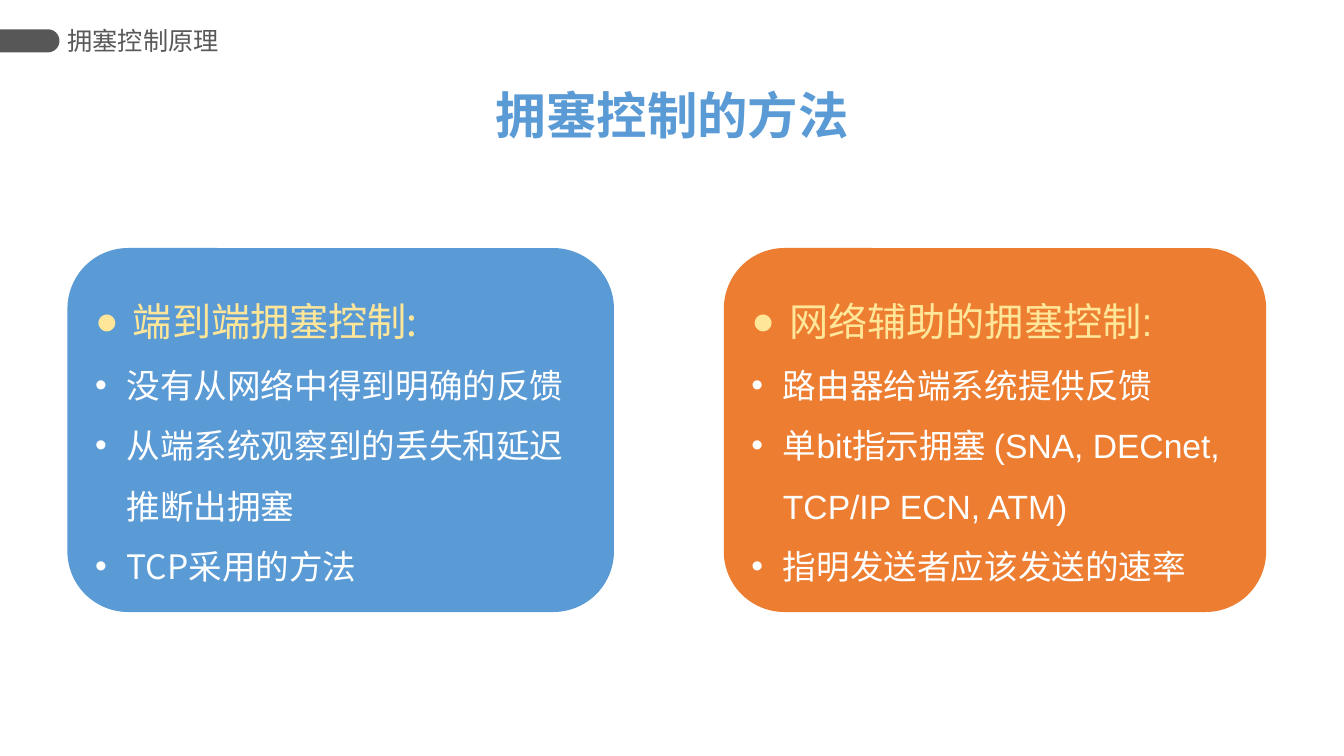
from lxml.etree import SubElement
from pptx import Presentation
from pptx.dml.color import RGBColor
from pptx.enum.shapes import MSO_SHAPE
from pptx.enum.text import MSO_ANCHOR, MSO_AUTO_SIZE, PP_ALIGN
from pptx.oxml.ns import qn
from pptx.util import Pt

CJK = "Noto Sans CJK SC"
BLUE, ORANGE, CREAM, WHITE = "5B9BD5", "ED7D31", "FFE699", "FFFFFF"


def color(value):
    return RGBColor.from_string(value)


class SlideBuilder:
    """Draws the elements of one slide in a shared style."""

    def __init__(self, slide):
        self.shapes = slide.shapes

    def style(self, paragraph, size, ink, face="Arial", bold=False):
        font = paragraph.font
        font.size, font.bold, font.name = Pt(size), bold, face
        font.color.rgb = color(ink)
        defaults = paragraph._p.pPr.find(qn("a:defRPr"))
        SubElement(defaults, qn("a:ea")).set("typeface", CJK)

    def bullet(self, paragraph, mark, indent):
        properties = paragraph._p.get_or_add_pPr()
        properties.set("marL", str(Pt(indent)))
        properties.set("indent", str(-Pt(indent)))
        SubElement(properties, qn("a:buFont")).set("typeface", "Arial")
        SubElement(properties, qn("a:buChar")).set("char", mark)

    def block(self, kind, left, top, width, height, fill):
        block = self.shapes.add_shape(kind, Pt(left), Pt(top), Pt(width), Pt(height))
        block.shadow.inherit = False
        block.fill.solid()
        block.fill.fore_color.rgb = color(fill)
        block.line.fill.background()
        return block

    def tab(self, center_x, center_y, length, thickness, fill):
        tab = self.block(MSO_SHAPE.ROUND_2_SAME_RECTANGLE, center_x - thickness / 2,
                         center_y - length / 2, thickness, length, fill)
        tab.adjustments[0] = 0.5
        tab.rotation = 90

    def label(self, text, left, top, width, height, size, ink):
        frame = self.shapes.add_textbox(Pt(left), Pt(top), Pt(width), Pt(height)).text_frame
        frame.word_wrap = True
        frame.vertical_anchor = MSO_ANCHOR.MIDDLE
        frame.margin_left = frame.margin_right = 0
        frame.text = text
        self.style(frame.paragraphs[0], size, ink)

    def title(self, text, left, top, width, height, size, ink):
        frame = self.shapes.add_textbox(Pt(left), Pt(top), Pt(width), Pt(height)).text_frame
        frame.word_wrap = False
        frame.auto_size = MSO_AUTO_SIZE.SHAPE_TO_FIT_TEXT
        frame.text = text
        frame.paragraphs[0].alignment = PP_ALIGN.CENTER
        self.style(frame.paragraphs[0], size, ink, bold=True)

    def panel(self, heading, points, left, width, fill, face):
        frame = self.block(MSO_SHAPE.ROUNDED_RECTANGLE, left, 177.2, width, 260, fill).text_frame
        frame.word_wrap = True
        frame.vertical_anchor = MSO_ANCHOR.MIDDLE
        frame.text = "\n".join([heading, *points])
        for position, paragraph in enumerate(frame.paragraphs):
            mark, indent, size, ink = ("•", 22.5, 24, WHITE) if position else ("●", 27, 28, CREAM)
            paragraph.alignment = PP_ALIGN.LEFT
            paragraph.line_spacing = 1.5
            self.bullet(paragraph, mark, indent)
            self.style(paragraph, size, ink, face)


def main():
    deck = Presentation()
    deck.slide_width, deck.slide_height = Pt(960), Pt(540)
    builder = SlideBuilder(deck.slides.add_slide(deck.slide_layouts[6]))
    builder.tab(21.25, 29.2, 42.5, 16.5, "575757")
    builder.panel("端到端拥塞控制:",
                  ["没有从网络中得到明确的反馈", "从端系统观察到的丢失和延迟推断出拥塞", "TCP采用的方法"],
                  48.2, 390.4, BLUE, CJK)
    builder.label("拥塞控制原理", 48.2, 13.7, 167.8, 30.2, 18, "595959")
    builder.title("拥塞控制的方法", 345.6, 56.2, 269.3, 51, 36, BLUE)
    builder.panel("网络辅助的拥塞控制:",
                  ["路由器给端系统提供反馈", "单bit指示拥塞 (SNA, DECnet, TCP/IP ECN, ATM)", "指明发送者应该发送的速率"],
                  517, 387.4, ORANGE, "Arial")
    deck.save("out.pptx")


if __name__ == "__main__":
    main()
